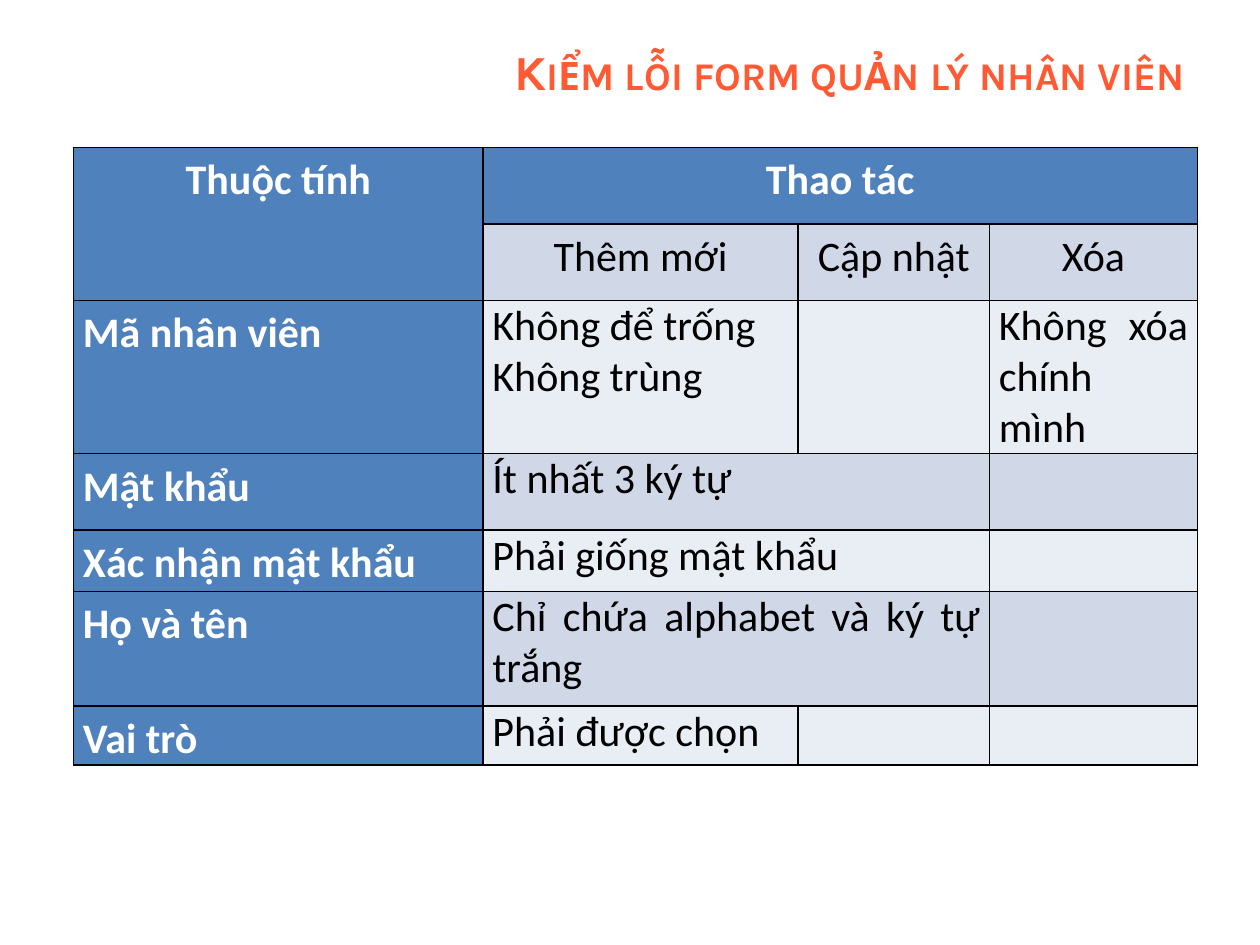
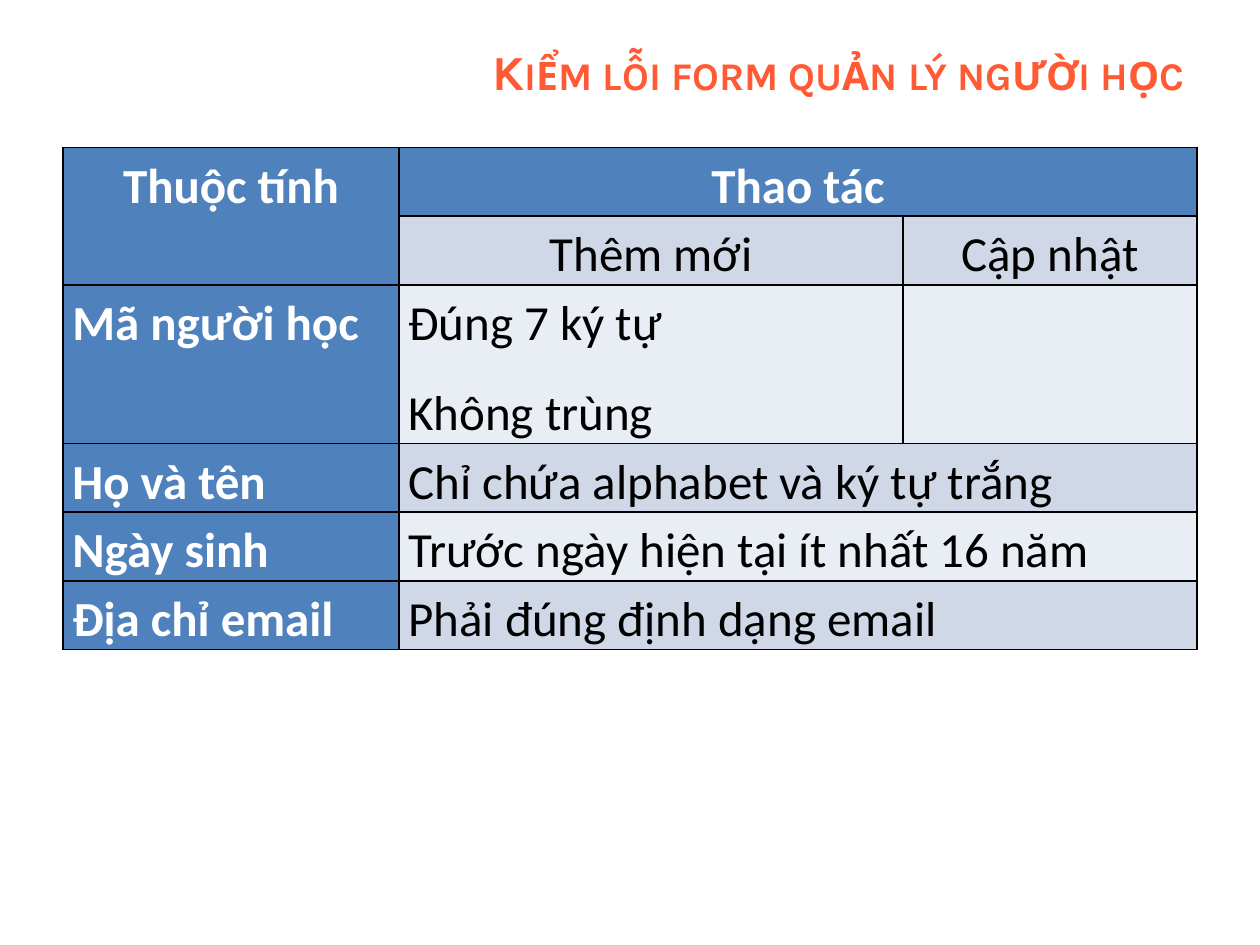
from dataclasses import dataclass

from lxml.etree import SubElement
from pptx import Presentation
from pptx.dml.color import RGBColor
from pptx.enum.text import MSO_ANCHOR, PP_ALIGN
from pptx.oxml.ns import qn
from pptx.util import Pt


@dataclass(frozen=True)
class Theme:
    accent: RGBColor = RGBColor(0xFF, 0x5A, 0x33)
    header: RGBColor = RGBColor(0x4F, 0x81, 0xBD)
    band_dark: RGBColor = RGBColor(0xD0, 0xD8, 0xE8)
    band_light: RGBColor = RGBColor(0xE9, 0xED, 0xF4)
    white: RGBColor = RGBColor(0xFF, 0xFF, 0xFF)
    black: RGBColor = RGBColor(0, 0, 0)
    title_font: str = "Karla"
    body_font: str = "Calibri"
    title_size: int = 28
    compact_size: int = 24
    large_size: int = 28


class RuleDeck:
    """Holds the theme, the presentation and the slide being filled."""

    def __init__(self, theme):
        self.theme = theme
        self.presentation = Presentation()
        self.presentation.slide_width = Pt(720)
        self.presentation.slide_height = Pt(540)
        self.slide = None

    def add_slide(self, title):
        blank_layout = self.presentation.slide_layouts[6]
        self.slide = self.presentation.slides.add_slide(blank_layout)
        self.add_title(title)

    def add_run(self, paragraph, text, font_name, size, color, bold):
        run = paragraph.add_run()
        run.text = text
        run.font.name = font_name
        run.font.size = Pt(size)
        run.font.bold = bold
        run.font.color.rgb = color
        return run

    def add_title(self, title):
        theme = self.theme
        frame = self.slide.shapes.add_textbox(Pt(162), Pt(21.6), Pt(522), Pt(38.2)).text_frame
        frame.word_wrap = True
        frame.vertical_anchor = MSO_ANCHOR.MIDDLE
        paragraph = frame.paragraphs[0]
        paragraph.alignment = PP_ALIGN.RIGHT
        run = self.add_run(paragraph, title, theme.title_font, theme.title_size, theme.accent, True)
        run.font._element.set("cap", "small")

    def style_cell(self, cell, fill):
        """Give the cell black borders, narrow margins and a fill."""
        cell.margin_left = cell.margin_right = Pt(5.4)
        cell.margin_top = cell.margin_bottom = 0
        properties = cell._tc.get_or_add_tcPr()
        for side in ("lnL", "lnR", "lnT", "lnB"):
            line = SubElement(properties, qn(f"a:{side}"), w=str(Pt(1)))
            line_fill = SubElement(line, qn("a:solidFill"))
            SubElement(line_fill, qn("a:srgbClr"), val=str(self.theme.black))
        cell.fill.solid()
        cell.fill.fore_color.rgb = fill

    def write_cell(self, cell, text, size, alignment, is_header, spaced):
        theme = self.theme
        color = theme.white if is_header else theme.black
        for index, line in enumerate(text.split("\n")):
            frame = cell.text_frame
            paragraph = frame.add_paragraph() if index else frame.paragraphs[0]
            paragraph.alignment = alignment
            if spaced:
                paragraph.line_spacing = 1.15
                paragraph.space_before = paragraph.space_after = Pt(6)
            self.add_run(paragraph, line, theme.body_font, size, color, is_header)

    def add_rule_table(self, left, widths, heights, rows, size, rules_spaced):
        """Draw a rule table; None in a row joins that cell to the one on its left."""
        theme = self.theme
        frame = self.slide.shapes.add_table(
            len(rows), len(widths), Pt(left), Pt(84.24), Pt(sum(widths)), Pt(sum(heights)))
        table = frame.table
        table.first_row = table.horz_banding = False
        for column, width in zip(table.columns, widths):
            column.width = Pt(width)
        for table_row, height in zip(table.rows, heights):
            table_row.height = Pt(height)

        for row_index, row in enumerate(rows):
            band = theme.band_dark if row_index % 2 else theme.band_light
            in_heading = row_index < 2
            for column_index, text in enumerate(row):
                cell = table.cell(row_index, column_index)
                is_header = row_index == 0 or column_index == 0
                self.style_cell(cell, theme.header if is_header else band)
                if text:
                    alignment = PP_ALIGN.CENTER if in_heading else PP_ALIGN.JUSTIFY
                    spaced = rules_spaced or in_heading or is_header
                    self.write_cell(cell, text, size, alignment, is_header, spaced)

        table.cell(0, 0).merge(table.cell(1, 0))
        for row_index, row in enumerate(rows):
            joined = [index for index, text in enumerate(row) if text is None]
            if joined:
                table.cell(row_index, joined[0] - 1).merge(table.cell(row_index, joined[-1]))


def main():
    theme = Theme()
    deck = RuleDeck(theme)

    deck.add_slide("Kiểm lỗi form quản lý nhân viên")
    employee_rules = [
        ("Thuộc tính", "Thao tác", None, None),
        ("", "Thêm mới", "Cập nhật", "Xóa"),
        ("Mã nhân viên", "Không để trống\nKhông trùng", "", "Không xóa chính mình"),
        ("Mật khẩu", "Ít nhất 3 ký tự", None, ""),
        ("Xác nhận mật khẩu", "Phải giống mật khẩu", None, ""),
        ("Họ và tên", "Chỉ chứa alphabet và ký tự trắng", None, ""),
        ("Vai trò", "Phải được chọn", "", ""),
    ]
    deck.add_rule_table(
        left=42, widths=[234, 180, 109.4, 118.8],
        heights=[43.7, 43.7, 87.7, 43.7, 35, 65.6, 33.7],
        rows=employee_rules, size=theme.compact_size, rules_spaced=False)

    deck.add_slide("Kiểm lỗi form quản lý người học")
    learner_rules = [
        ("Thuộc tính", "Thao tác", None),
        ("", "Thêm mới", "Cập nhật"),
        ("Mã người học", "Đúng 7 ký tự\nKhông trùng", ""),
        ("Họ và tên", "Chỉ chứa alphabet và ký tự trắng", None),
        ("Ngày sinh", "Trước ngày hiện tại ít nhất 16 năm", None),
        ("Địa chỉ email", "Phải đúng định dạng email", None),
    ]
    line_height = 39.3
    deck.add_rule_table(
        left=36, widths=[192, 288, 168],
        heights=[line_height, line_height, 2 * line_height + 12] + 3 * [line_height],
        rows=learner_rules, size=theme.large_size, rules_spaced=True)

    deck.presentation.save("out.pptx")


if __name__ == "__main__":
    main()
